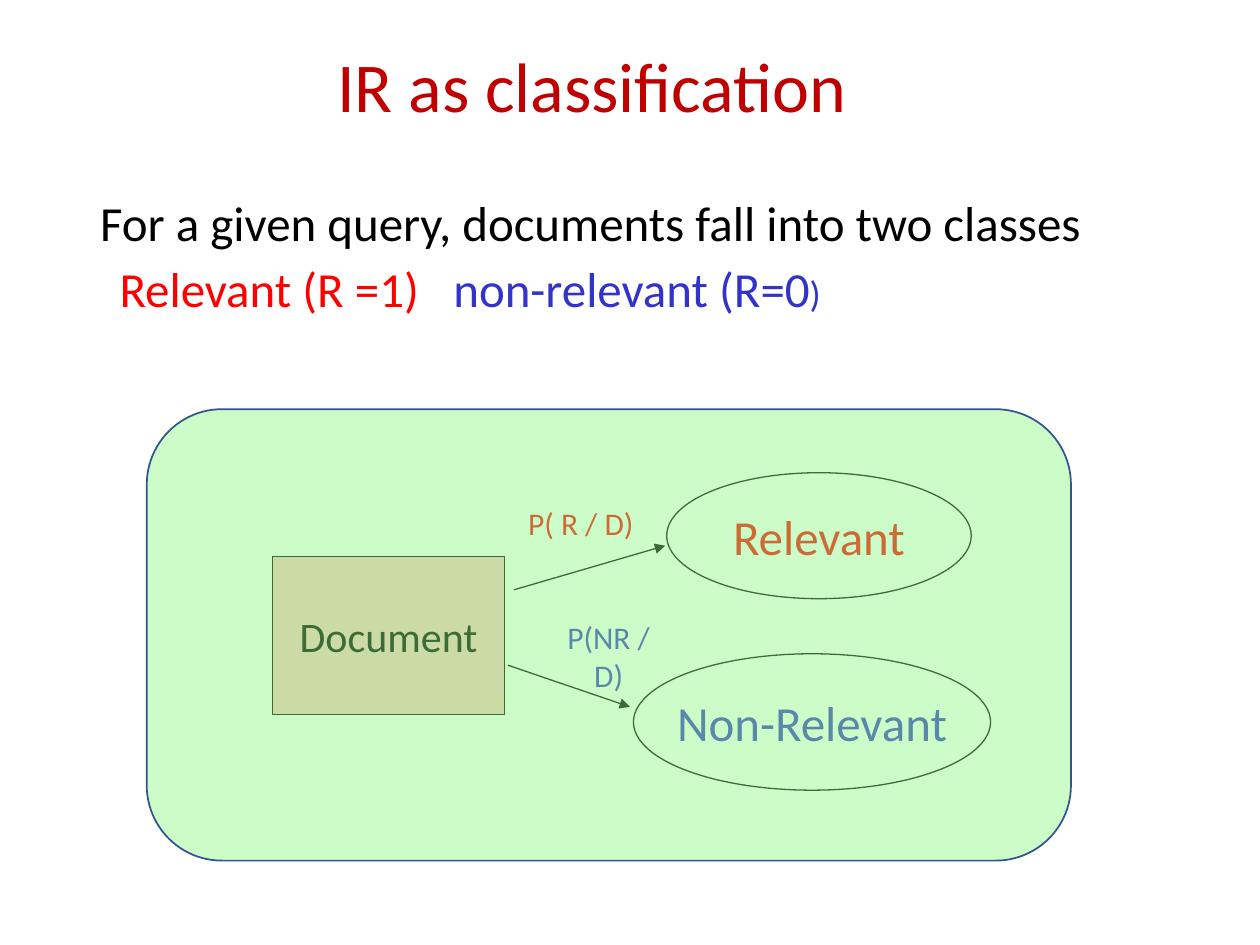
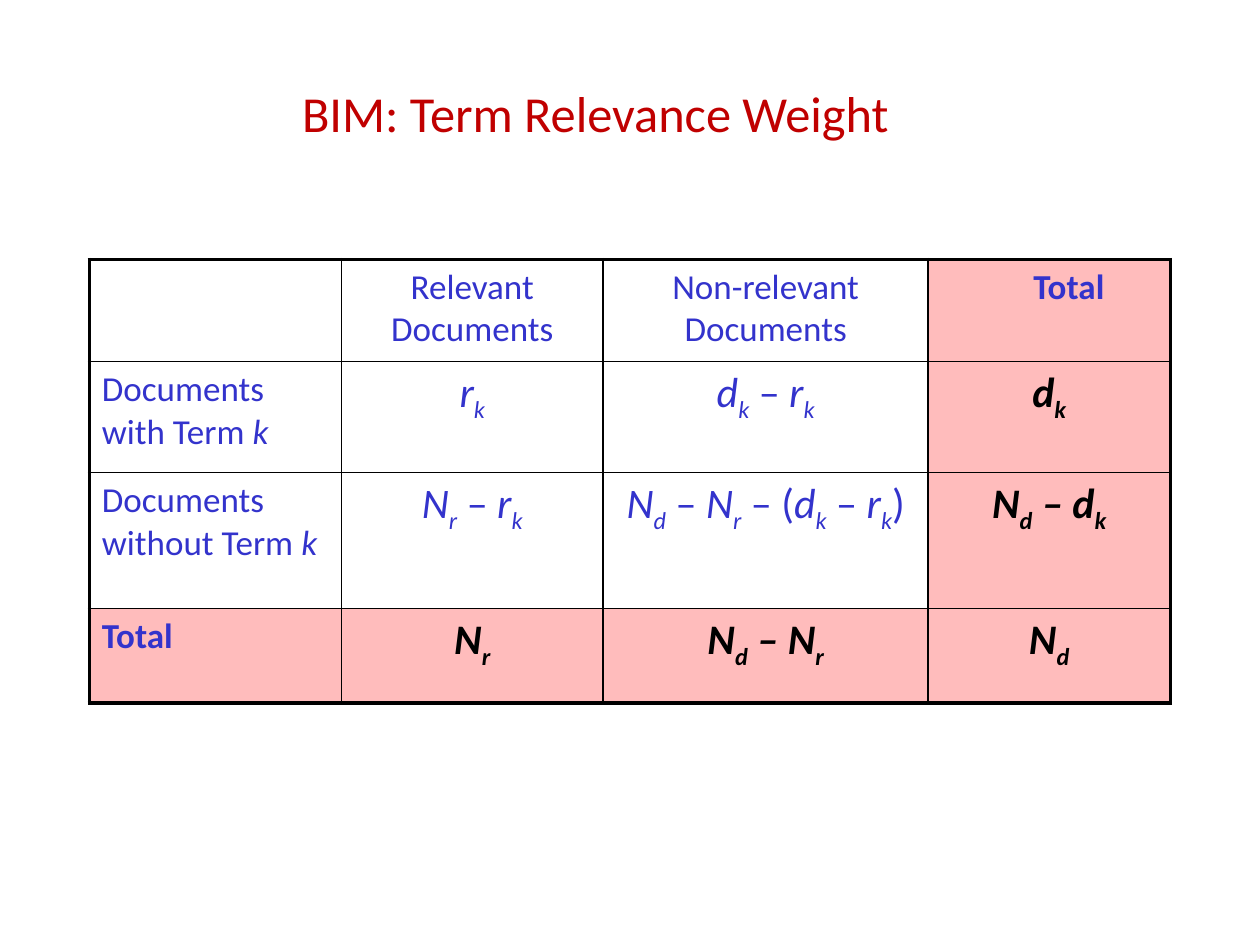
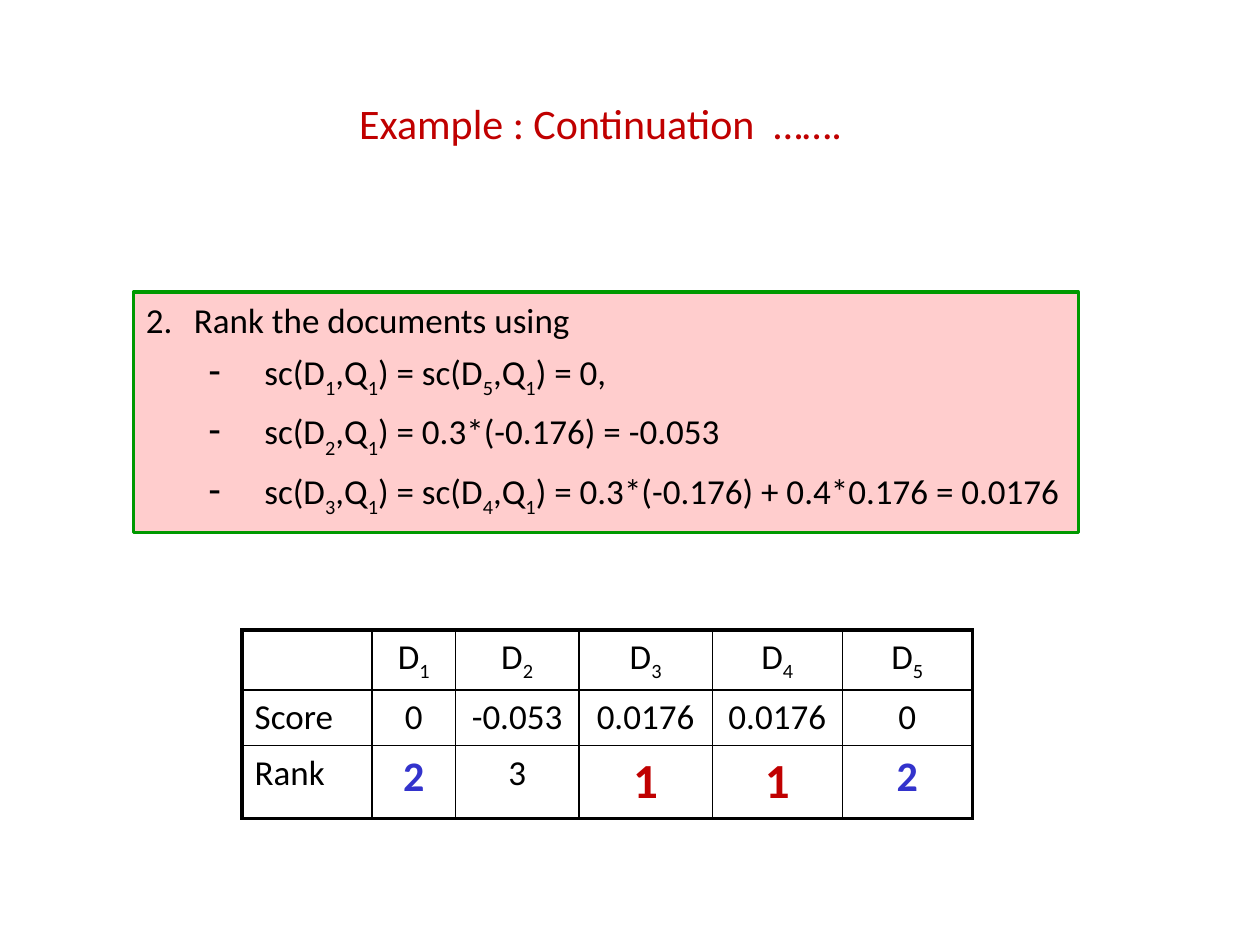
from dataclasses import dataclass, replace
from itertools import groupby
from typing import Optional, Union

from lxml.etree import SubElement
from pptx import Presentation
from pptx.dml.color import RGBColor
from pptx.enum.shapes import MSO_CONNECTOR, MSO_SHAPE
from pptx.enum.text import MSO_ANCHOR, PP_ALIGN
from pptx.oxml.ns import qn
from pptx.util import Cm, Pt

FONT = "Calibri"
BLACK, BLUE, RED, CRIMSON = "000000", "3333CC", "FF0000", "C00000"
PINK, MINT, GREEN, NAVY = "FF9999", "8AFA7E", "009900", "325491"
THIN, THICK = 1, 2.25


@dataclass(frozen=True)
class Run:
    """A stretch of text; an underscore lowers the next character."""
    text: str
    color: Optional[str] = None
    size: Optional[float] = None
    italic: Optional[bool] = None


@dataclass(frozen=True)
class Para:
    content: Union[str, tuple[Run, ...]]
    size: float = 20
    color: str = BLACK
    bold: bool = False
    italic: bool = False
    align: PP_ALIGN = PP_ALIGN.LEFT
    line_spacing: float = 1
    space_before: float = 0
    margin: float = 0
    indent: float = 0
    tab: Optional[float] = None
    bullet: Optional[str] = None
    subscript: int = -25


@dataclass(frozen=True)
class Box:
    left: float
    top: float
    width: float
    height: float


@dataclass(frozen=True)
class Style:
    fill: Optional[str] = None
    opacity: int = 100
    line: str = BLACK
    line_width: float = 0.75


@dataclass(frozen=True)
class Cell:
    para: Optional[Para] = None
    shaded: bool = False
    shift: float = 0


def rgb(color: str) -> RGBColor:
    return RGBColor.from_string(color)


def set_fill(fill, owner, color: Optional[str], opacity: int) -> None:
    if color is None:
        fill.background()
        return
    fill.solid()
    fill.fore_color.rgb = rgb(color)
    if opacity < 100:
        tint = owner.find(qn("a:solidFill"))[0]
        SubElement(tint, qn("a:alpha"), val=str(opacity * 1000))


# Text

def add_piece(paragraph, text: str, run: Run, baseline: int = 0) -> None:
    for number, line in enumerate(text.split("\n")):
        if number:
            paragraph.add_line_break()
        if not line:
            continue
        piece = paragraph.add_run()
        piece.text = line
        if run.color:
            piece.font.color.rgb = rgb(run.color)
        if run.size:
            piece.font.size = Pt(run.size)
        if run.italic is not None:
            piece.font.italic = run.italic
        if baseline:
            piece._r.get_or_add_rPr().set("baseline", str(baseline * 1000))


def write(paragraph, para: Para) -> None:
    paragraph.alignment = para.align
    paragraph.line_spacing = para.line_spacing
    paragraph.space_before = Pt(para.space_before)
    props = paragraph._p.get_or_add_pPr()
    props.set("marL", str(Cm(para.margin)))
    props.set("indent", str(Cm(para.indent)))
    if para.bullet == "2.":
        SubElement(props, qn("a:buAutoNum"), type="arabicPeriod", startAt="2")
    elif para.bullet:
        SubElement(props, qn("a:buChar"), char=para.bullet)
    else:
        SubElement(props, qn("a:buNone"))
    if para.tab:
        stops = SubElement(props, qn("a:tabLst"))
        SubElement(stops, qn("a:tab"), pos=str(Cm(para.tab)), algn="l")

    font = paragraph.font
    font.name, font.size = FONT, Pt(para.size)
    font.bold, font.italic = para.bold, para.italic
    font.color.rgb = rgb(para.color)
    runs = (Run(para.content),) if isinstance(para.content, str) else para.content
    for run in runs:
        first, *lowered = run.text.split("_")
        add_piece(paragraph, first, run)
        for part in lowered:
            add_piece(paragraph, part[0], run, para.subscript)
            add_piece(paragraph, part[1:], run)


def fill_frame(frame, paras: list[Para], anchor: MSO_ANCHOR, wrap: bool) -> None:
    frame.word_wrap = wrap
    frame.vertical_anchor = anchor
    for number, para in enumerate(paras):
        write(frame.add_paragraph() if number else frame.paragraphs[0], para)


def place(box: Box) -> tuple:
    return Cm(box.left), Cm(box.top), Cm(box.width), Cm(box.height)


def add_text(slide, box: Box, *paras: Para,
             anchor: MSO_ANCHOR = MSO_ANCHOR.MIDDLE, wrap: bool = True) -> None:
    fill_frame(slide.shapes.add_textbox(*place(box)).text_frame, list(paras), anchor, wrap)


def add_title(slide, box: Box, text: str, size: float) -> None:
    add_text(slide, box, Para(text, size, CRIMSON, line_spacing=0.9))


def label(text: str, size: float, color: str) -> Para:
    return Para(text, size, color, align=PP_ALIGN.CENTER)


# Shapes and arrows

def add_figure(slide, kind: MSO_SHAPE, box: Box, style: Style, *paras: Para,
               anchor: MSO_ANCHOR = MSO_ANCHOR.MIDDLE, wrap: bool = False) -> None:
    figure = slide.shapes.add_shape(kind, *place(box))
    figure.shadow.inherit = False
    set_fill(figure.fill, figure._element.spPr, style.fill, style.opacity)
    figure.line.color.rgb = rgb(style.line)
    figure.line.width = Pt(style.line_width)
    fill_frame(figure.text_frame, list(paras), anchor, wrap)


def add_arrow(slide, x1: float, y1: float, x2: float, y2: float) -> None:
    arrow = slide.shapes.add_connector(
        MSO_CONNECTOR.STRAIGHT, Cm(x1), Cm(y1), Cm(x2), Cm(y2))
    arrow.line.color.rgb = rgb(BLACK)
    arrow.line.width = Pt(0.75)
    SubElement(arrow.line._get_or_add_ln(), qn("a:tailEnd"), type="triangle")
    SubElement(arrow._element.spPr, qn("a:effectLst"))


# Tables

def add_border(props, side: str, width: float) -> None:
    edge = SubElement(props, qn(f"a:ln{side}"), w=str(Pt(width)))
    SubElement(SubElement(edge, qn("a:solidFill")), qn("a:srgbClr"), val=BLACK)


def add_grid(slide, left: float, top: float, widths: list[float],
             heights: list[float], rows: list[list[Cell]]) -> None:
    box = Box(left, top, sum(widths), sum(heights))
    table = slide.shapes.add_table(len(heights), len(widths), *place(box)).table
    table.first_row = table.horz_banding = False
    for column, width in zip(table.columns, widths):
        column.width = Cm(width)
    for row, height in zip(table.rows, heights):
        row.height = Cm(height)
    last_row, last_column = len(heights) - 1, len(widths) - 1
    for r, row in enumerate(rows):
        for c, entry in enumerate(row):
            cell = table.cell(r, c)
            props = cell._tc.get_or_add_tcPr()
            outer = {"L": c == 0, "R": c == last_column, "T": r == 0, "B": r == last_row}
            for side, is_outer in outer.items():
                add_border(props, side, THICK if is_outer else THIN)
            set_fill(cell.fill, props, PINK if entry.shaded else None, 65)
            if entry.shift:
                cell.margin_left = Cm(0.25 + entry.shift)
            if entry.para:
                write(cell.text_frame.paragraphs[0], entry.para)


def formula(text: str) -> Cell:
    """Italic symbols with upright signs and brackets."""
    runs = tuple(Run("".join(part), italic=not upright)
                 for upright, part in groupby(text, lambda sign: sign in " –()"))
    return Cell(Para(runs, 24, BLUE, align=PP_ALIGN.CENTER))


def total(text: str) -> Cell:
    return Cell(Para(text, 24, bold=True, italic=True, align=PP_ALIGN.CENTER), True)


def term_row(text: str) -> Cell:
    return Cell(Para((Run(text), Run("k", italic=True)), color=BLUE))


# Slides

def build_classification(slide) -> None:
    add_title(slide, Box(6.55, 0.7, 13.54, 2.24), "IR as classification", 40)
    intro = Para("For a given query, documents fall into two classes", 28,
                 line_spacing=0.9, space_before=7.5, indent=0.5)
    classes = replace(intro, indent=0.89, tab=7.82, content=(
        Run("Relevant (R =1)\t", RED), Run("non-relevant (R=0", BLUE), Run(")", BLUE, 21)))
    add_text(slide, Box(1.27, 3.89, 22.86, 12.22), intro, classes, anchor=MSO_ANCHOR.TOP)

    # Document and its two classes
    add_figure(slide, MSO_SHAPE.RECTANGLE, Box(5.5, 11.22, 4.67, 3.18),
               Style(PINK, 56), label("Document", 24, BLACK))
    add_figure(slide, MSO_SHAPE.OVAL, Box(13.44, 9.53, 6.14, 2.54),
               Style(), label("Relevant", 28, RED))
    add_figure(slide, MSO_SHAPE.OVAL, Box(12.77, 13.18, 7.2, 2.75),
               Style(), label("Non-Relevant", 28, BLUE))
    add_arrow(slide, 10.36, 11.89, 13.41, 11)
    add_arrow(slide, 10.24, 13.41, 12.7, 14.25)
    add_text(slide, Box(10.34, 10.13, 2.74, 0.84), label("P( R / D)", 18, RED), wrap=False)
    add_text(slide, Box(10.9, 12.8, 2.74, 0.84), label("P(NR / D)", 18, BLUE), wrap=False)

    # Translucent panel over the diagram
    add_figure(slide, MSO_SHAPE.ROUNDED_RECTANGLE, Box(2.96, 8.25, 18.63, 9.1),
               Style(MINT, 43, NAVY, 1))


def build_relevance_weight(slide) -> None:
    add_title(slide, Box(5.84, 1.47, 13.72, 1.73), "BIM: Term Relevance Weight", 28.8)
    total_heading = Para("Total", color=BLUE, bold=True)
    rows = [
        [Cell(),
         Cell(label("Relevant Documents", 20, BLUE)),
         Cell(label("Non-relevant Documents", 20, BLUE)),
         Cell(replace(total_heading, align=PP_ALIGN.CENTER), True, shift=0.8)],
        [term_row("Documents\nwith Term "),
         formula("r_k"), formula("d_k – r_k"), total("d_k")],
        [term_row("Documents\nwithout Term "), formula("N_r – r_k"),
         formula("N_d – N_r – (d_k – r_k)"), total("N_d – d_k")],
        [Cell(total_heading, True), total("N_r"), total("N_d – N_r"), total("N_d")],
    ]
    add_grid(slide, 1.8, 5.23, [5.08, 5.28, 6.55, 4.88], [2.06, 2.24, 2.74, 1.9], rows)


def build_example(slide) -> None:
    # Scores and ranks
    documents = [Cell(label(f"D_{number}", 20, BLACK)) for number in range(1, 6)]
    scores = [Cell(label(score, 20, BLACK))
              for score in ("0", "-0.053", "0.0176", "0.0176", "0")]
    rank_styles = {"1": (28, CRIMSON, True), "2": (24, BLUE, True), "3": (20, BLACK, False)}
    ranks = [Cell(Para(rank, *rank_styles[rank], align=PP_ALIGN.CENTER)) for rank in "23112"]
    rows = [[Cell(), *documents],
            [Cell(Para("Score")), *scores],
            [Cell(Para("Rank")), *ranks]]
    add_grid(slide, 4.88, 12.7, [2.62, 1.68, 2.49, 2.69, 2.62, 2.62], [1] * 3, rows)

    # Ranking step
    steps = ["sc(D_1,Q_1) = sc(D_5,Q_1) = 0,",
             "sc(D_2,Q_1) = 0.3*(-0.176) = -0.053",
             "sc(D_3,Q_1) = sc(D_4,Q_1) = 0.3*(-0.176) + 0.4*0.176 = 0.0176"]
    add_figure(slide, MSO_SHAPE.RECTANGLE, Box(2.69, 5.89, 19.05, 4.85),
               Style(PINK, 49, GREEN, 2),
               Para("Rank the documents using", margin=0.97, indent=-0.97, bullet="2."),
               *(Para(step, line_spacing=1.2, margin=2.39, indent=-1.12,
                      bullet="-", subscript=-30) for step in steps),
               anchor=MSO_ANCHOR.TOP, wrap=True)
    add_title(slide, Box(6.99, 1.9, 12.07, 1.27), "Example : Continuation  …….", 24)


def main() -> None:
    deck = Presentation()
    deck.slide_width, deck.slide_height = Cm(25.4), Cm(19.05)
    for build in (build_classification, build_relevance_weight, build_example):
        build(deck.slides.add_slide(deck.slide_layouts[6]))
    deck.save("out.pptx")


if __name__ == "__main__":
    main()
